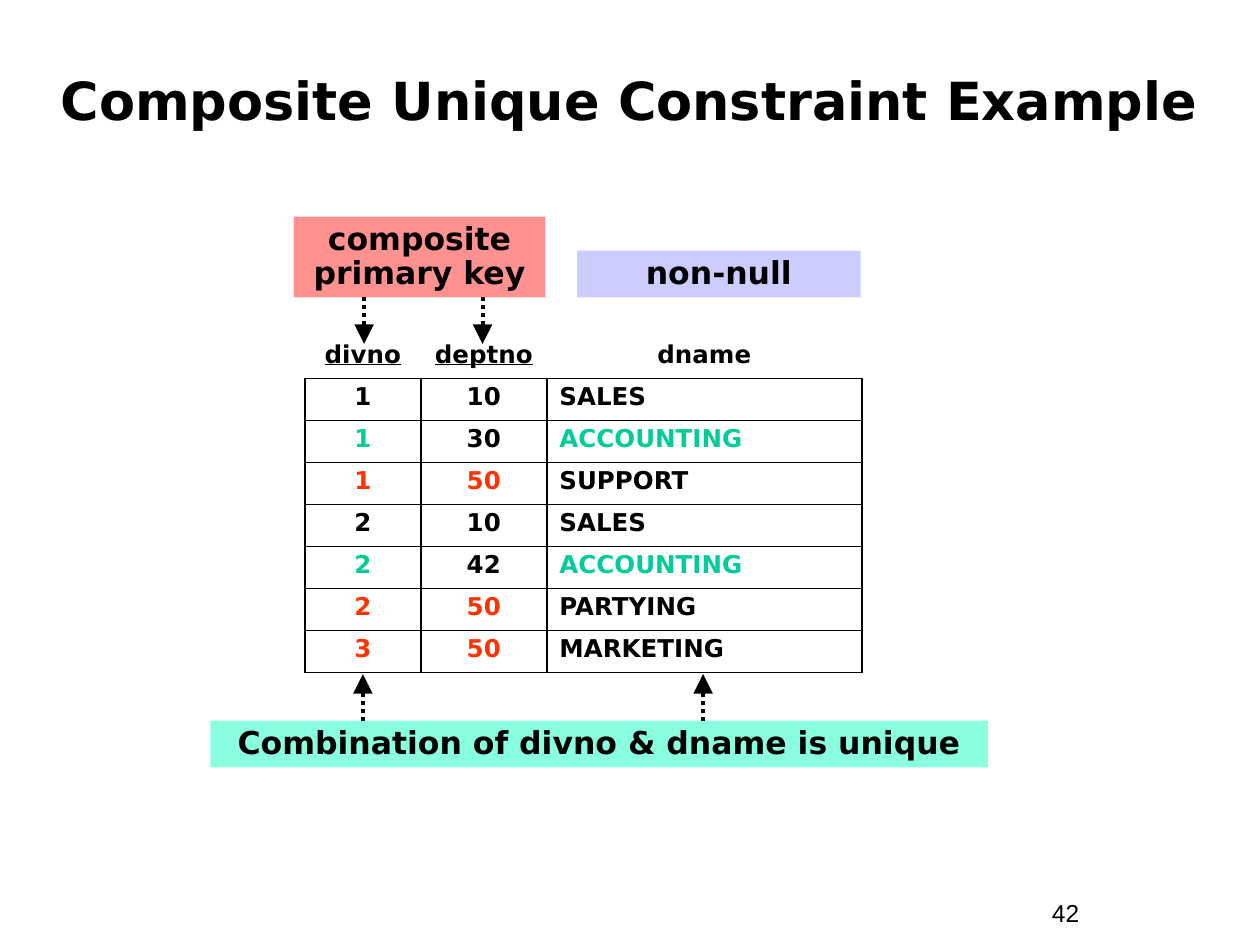
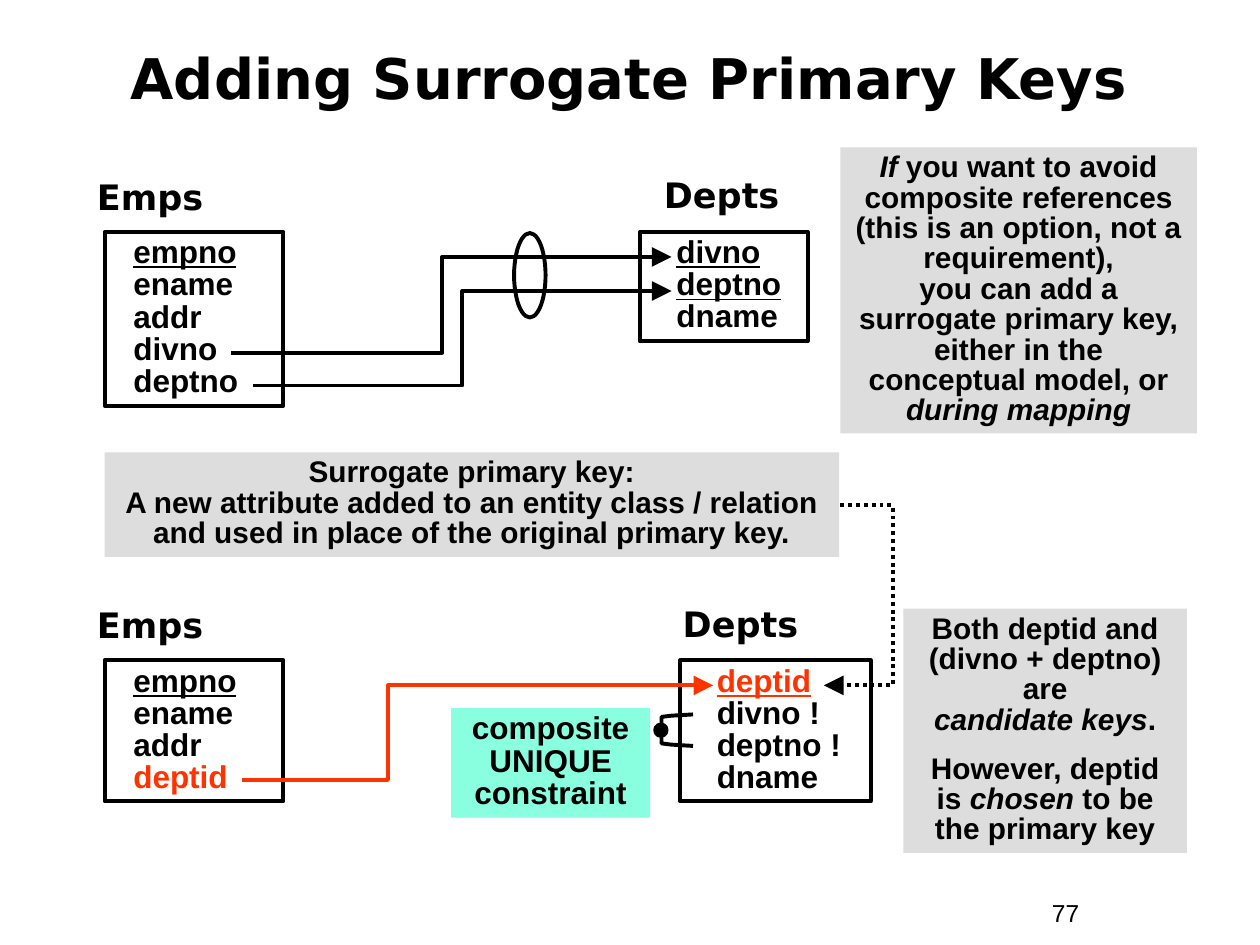
from lxml.etree import SubElement
from pptx import Presentation
from pptx.dml.color import RGBColor
from pptx.enum.dml import MSO_LINE
from pptx.enum.shapes import MSO_CONNECTOR, MSO_SHAPE
from pptx.enum.text import MSO_ANCHOR, PP_ALIGN
from pptx.oxml.ns import qn
from pptx.util import Inches, Pt

COLOURS = {
    "black": "000000", "green": "00CC99", "red": "FF3300", "pink": "FF9191",
    "lilac": "CCCCFF", "mint": "89FFE0", "grey": "DDDDDD",
}
RGB = {name: RGBColor.from_string(value) for name, value in COLOURS.items()}
HEADING_FONT, BODY_FONT = "DejaVu Sans", "Arial"
LINE_WIDTH = Pt(2.25)


def add_box(slide, box, paragraphs, font=BODY_FONT, size=18, bold=True, fill=None,
            outlined=False, centred=False, spacing=1.0, gap=0, indent=0,
            anchor=MSO_ANCHOR.TOP):
    """Add text; a paragraph is a string or a list of (text, style words) runs."""
    area = [Inches(value) for value in box]
    if fill or outlined:
        shape = slide.shapes.add_shape(MSO_SHAPE.RECTANGLE, *area)
        shape.shadow.inherit = False
        if fill:
            shape.fill.solid()
            shape.fill.fore_color.rgb = RGB[fill]
            shape.line.fill.background()
        else:
            shape.fill.background()
            shape.line.color.rgb = RGB["black"]
            shape.line.width = LINE_WIDTH
    else:
        shape = slide.shapes.add_textbox(*area)
    frame = shape.text_frame
    frame.word_wrap = True
    frame.vertical_anchor = anchor
    for index, runs in enumerate(paragraphs):
        paragraph = frame.paragraphs[0] if index == 0 else frame.add_paragraph()
        paragraph.alignment = PP_ALIGN.CENTER if centred else PP_ALIGN.LEFT
        paragraph.line_spacing = spacing
        if index and gap:
            paragraph.space_before = Pt(gap)
        if indent:
            properties = paragraph._p.get_or_add_pPr()
            properties.set("marL", str(Inches(indent)))
            properties.set("indent", "0")
        paragraph.font.name = font
        paragraph.font.size = Pt(size)
        paragraph.font.bold = bold
        for text, style in [(runs, "")] if isinstance(runs, str) else runs:
            for number, line in enumerate(text.split("\n")):
                if number:
                    paragraph.add_line_break()
                if line:
                    run = paragraph.add_run()
                    run.text = line
                    run.font.color.rgb = RGB["red" if "red" in style else "black"]
                    if "underline" in style:
                        run.font.underline = True
                    if "italic" in style:
                        run.font.italic = True


def add_arrow(slide, begin, end, colour="black", dotted=False, bend=None):
    """Add an arrow; bend is where an elbow turns, as a share of its width."""
    kind = MSO_CONNECTOR.STRAIGHT if bend is None else MSO_CONNECTOR.ELBOW
    arrow = slide.shapes.add_connector(kind, *[Inches(value) for value in begin + end])
    arrow.line.color.rgb = RGB[colour]
    arrow.line.width = LINE_WIDTH
    if dotted:
        arrow.line.dash_style = MSO_LINE.ROUND_DOT
    properties = arrow._element.spPr
    SubElement(properties.find(qn("a:ln")), qn("a:tailEnd"), type="triangle", w="lg", len="lg")
    SubElement(properties, qn("a:effectLst"))
    if bend is not None:
        geometry = properties.find(qn("a:prstGeom"))
        adjustments = geometry.find(qn("a:avLst"))
        if adjustments is None:
            adjustments = SubElement(geometry, qn("a:avLst"))
        SubElement(adjustments, qn("a:gd"), name="adj1", fmla=f"val {round(bend * 100000)}")


presentation = Presentation()
presentation.slide_width = Inches(10)
presentation.slide_height = Inches(7.5)

slides = []
for title, top, size, spacing, number in [
    ("Composite Unique Constraint Example", 0.33, 30, 1.0, "42"),
    ("Adding Surrogate Primary Keys", 0.19, 32, 0.85, "77"),
]:
    slide = presentation.slides.add_slide(presentation.slide_layouts[6])
    add_box(slide, (8.25, 7.08, 0.92, 0.34), [number], size=14, bold=False)
    add_box(slide, (0.33, top, 9.33, 0.92), [title], HEADING_FONT, size,
            centred=True, spacing=spacing, anchor=MSO_ANCHOR.MIDDLE)
    slides.append(slide)
constraint_slide, surrogate_slide = slides

# Composite unique constraint: departments table
K, G, R = "black", "green", "red"
departments = [
    (("divno", K), ("deptno", K), ("dname", K)),
    (("1", K), ("10", K), ("SALES", K)),
    (("1", G), ("30", K), ("ACCOUNTING", G)),
    (("1", R), ("50", R), ("SUPPORT", K)),
    (("2", K), ("10", K), ("SALES", K)),
    (("2", G), ("42", K), ("ACCOUNTING", G)),
    (("2", R), ("50", R), ("PARTYING", K)),
    (("3", R), ("50", R), ("MARKETING", K)),
]
table = constraint_slide.shapes.add_table(
    len(departments), 3, Inches(2.42), Inches(2.67), Inches(4.42), Inches(2.67)).table
table.first_row = table.horz_banding = False
for column, width in zip(table.columns, (0.92, 1, 2.5)):
    column.width = Inches(width)
for row_index, values in enumerate(departments):
    table.rows[row_index].height = Inches(2.67 / len(departments))
    for column_index, (text, colour) in enumerate(values):
        cell = table.cell(row_index, column_index)
        cell.margin_left = cell.margin_right = Inches(0.1)
        cell.margin_top = cell.margin_bottom = Inches(0.05)
        cell.text = text
        paragraph = cell.text_frame.paragraphs[0]
        is_name = row_index > 0 and column_index == 2
        paragraph.alignment = PP_ALIGN.LEFT if is_name else PP_ALIGN.CENTER
        paragraph.line_spacing = 0.9
        font = paragraph.runs[0].font
        font.name, font.size, font.bold = HEADING_FONT, Pt(14), True
        font.color.rgb = RGB[colour]
        font.underline = row_index == 0 and column_index < 2
        cell_properties = cell._tc.get_or_add_tcPr()
        for side in ("lnL", "lnR", "lnT", "lnB"):
            border = SubElement(cell_properties, qn(f"a:{side}"), w=str(Pt(1.08)))
            if row_index or side == "lnB":
                border_fill = SubElement(border, qn("a:solidFill"))
                SubElement(border_fill, qn("a:srgbClr"), val=COLOURS["black"])
            else:
                SubElement(border, qn("a:noFill"))
        cell.fill.background()

for box, text, fill in [
    ((2.33, 1.72, 2, 0.64), "composite\nprimary key", "pink"),
    ((4.58, 1.99, 2.25, 0.37), "non-null", "lilac"),
    ((1.67, 5.72, 6.17, 0.37), "Combination of divno & dname is unique", "mint"),
]:
    add_box(constraint_slide, box, [text], HEADING_FONT, fill=fill, centred=True, spacing=0.9)
for x, begin, end in [(5.58, 5.72, 5.35), (2.88, 5.72, 5.35),
                      (3.83, 2.36, 2.73), (2.89, 2.36, 2.73)]:
    add_arrow(constraint_slide, (x, begin), (x, end), dotted=True)

# Surrogate keys: entities before and after
for left, top, width, text in [
    (0.67, 1.34, 2.15, "Emps"), (5.17, 1.33, 1.32, "Depts"),
    (0.67, 4.74, 2.15, "Emps"), (5.32, 4.73, 1.43, "Depts"),
]:
    add_box(surrogate_slide, (left, top, width, 0.44), [text], HEADING_FONT, 20)

employee_key = [("empno", "underline")]
for box, indent, attributes in [
    ((0.83, 1.84, 1.42, 1.38), 0.13, [employee_key, "ename", "addr", "divno\ndeptno"]),
    ((5.08, 1.84, 1.33, 0.87), 0.19, [[("divno\ndeptno", "underline")], "dname"]),
    ((0.83, 5.24, 1.42, 1.12), 0.13, [employee_key, "ename", "addr", [("deptid", "red")]]),
    ((5.4, 5.24, 1.51, 1.12), 0.19,
     [[("deptid\n", "red underline"), ("divno !\ndeptno !", "")], "dname"]),
]:
    add_box(surrogate_slide, box, attributes, outlined=True, spacing=0.85, indent=indent)

option_note = [[
    ("If", "italic"),
    (" you want to avoid composite references (this is an option, not a requirement),\n"
     "you can add a surrogate primary key,\neither in the conceptual model, or\n", ""),
    ("during mapping", "italic"),
]]
definition = ["Surrogate primary key:\nA new attribute added to an entity class / relation "
              "and used in place of the original primary key."]
candidate_note = [
    [("Both deptid and\n(divno + deptno) are\n", ""), ("candidate keys", "italic"), (".", "")],
    [("However, deptid is ", ""), ("chosen", "italic"), (" to be the primary key", "")],
]
for box, note in [
    ((6.67, 1.17, 2.83, 2.27), option_note),
    ((0.83, 3.59, 5.83, 0.83), definition),
    ((7.17, 4.83, 2.25, 1.94), candidate_note),
]:
    add_box(surrogate_slide, box, note, size=17, fill="grey", centred=True,
            spacing=0.85, gap=10.6)

add_arrow(surrogate_slide, (1.83, 2.8), (5.33, 2.04), bend=0.48)
add_arrow(surrogate_slide, (2.01, 3.06), (5.33, 2.31), bend=0.5)
add_arrow(surrogate_slide, (1.92, 6.19), (5.66, 5.44), "red", bend=0.31)
add_arrow(surrogate_slide, (6.67, 4.01), (6.54, 5.44), dotted=True, bend=-3.2)

# Bracket joining the two attributes of the unique constraint
bracket_points = [(Inches(x), Inches(y)) for x, y in [
    (5.5, 5.67), (5.33, 5.68), (5.25, 5.69), (5.25, 5.9), (5.33, 5.91), (5.5, 5.92)]]
builder = surrogate_slide.shapes.build_freeform(*bracket_points[0])
builder.add_line_segments(bracket_points[1:], close=False)
bracket = builder.convert_to_shape()
add_box(surrogate_slide, (3.58, 5.62, 1.58, 0.87), ["composite\nUNIQUE\nconstraint"],
        fill="mint", centred=True, spacing=0.85)
reference_ring, bracket_dot = [
    surrogate_slide.shapes.add_shape(MSO_SHAPE.OVAL, *[Inches(value) for value in box])
    for box in [(4.08, 1.85, 0.25, 0.67), (5.2, 5.75, 0.09, 0.09)]
]
for shape in (bracket, reference_ring, bracket_dot):
    shape.shadow.inherit = False
    shape.fill.background()
    shape.line.color.rgb = RGB["black"]
    shape.line.width = LINE_WIDTH
bracket_dot.fill.solid()
bracket_dot.fill.fore_color.rgb = RGB["black"]

presentation.save("out.pptx")
